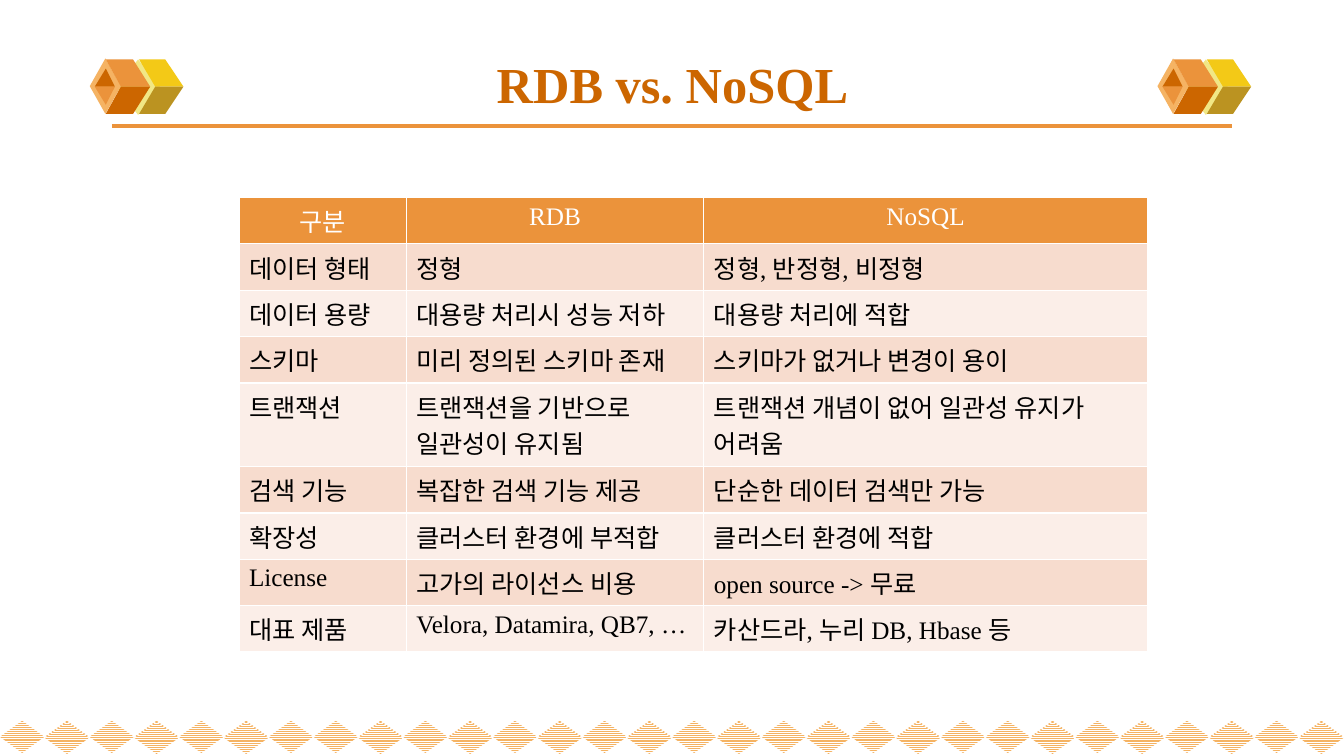
from lxml import etree
from pptx import Presentation
from pptx import util as u
from pptx.dml import color
from pptx.enum import dml, shapes, text
from pptx.oxml import ns

WHITE, BLACK = "FFFFFF", "000000"
ORANGE, DARK_ORANGE, LIGHT_ORANGE = "EB933B", "CC6600", "F5B363"
YELLOW, OLIVE, PALE_YELLOW = "F3C917", "BB9321", "F1E785"
BANDS = ("F7DCCE", "FBEEE8")

COLUMN_WIDTHS = (1.66, 2.95, 4.4)
ROW_HEIGHT, TWO_LINE_HEIGHT = 0.46, 0.83
TWO_LINE_ROW = 4
ROWS = [
    ("구분", "RDB", "NoSQL"),
    ("데이터 형태", "정형", "정형, 반정형, 비정형"),
    ("데이터 용량", "대용량 처리시 성능 저하", "대용량 처리에 적합"),
    ("스키마", "미리 정의된 스키마 존재", "스키마가 없거나 변경이 용이"),
    ("트랜잭션", "트랜잭션을 기반으로 일관성이 유지됨",
     "트랜잭션 개념이 없어 일관성 유지가 어려움"),
    ("검색 기능", "복잡한 검색 기능 제공", "단순한 데이터 검색만 가능"),
    ("확장성", "클러스터 환경에 부적합", "클러스터 환경에 적합"),
    ("License", "고가의 라이선스 비용", "open source -> 무료"),
    ("대표 제품", "Velora, Datamira, QB7, …", "카산드라, 누리 DB, Hbase 등"),
]


def rgb(value):
    return color.RGBColor.from_string(value)


class SlideBuilder:
    font_name = "Times New Roman"

    def __init__(self, slide):
        self.slide = slide

    def add_run(self, paragraph, words, size, hex_color, bold=False):
        run = paragraph.add_run()
        run.text = words
        run.font.name = self.font_name
        run.font.size = u.Pt(size)
        run.font.bold = bold
        run.font.color.rgb = rgb(hex_color)

    def diamond(self, left, top, width, height, hex_color, striped=False):
        shape = self.slide.shapes.add_shape(
            shapes.MSO_SHAPE.DIAMOND, u.Inches(left), u.Inches(top),
            u.Inches(width), u.Inches(height))
        shape.shadow.inherit = False
        shape.line.fill.background()
        if striped:
            shape.fill.patterned()
            shape.fill.pattern = dml.MSO_PATTERN.NARROW_HORIZONTAL
            shape.fill.back_color.rgb = rgb(WHITE)
        else:
            shape.fill.solid()
        shape.fill.fore_color.rgb = rgb(hex_color)

    def polygon(self, points, hex_color):
        corners = [(u.Inches(x), u.Inches(y)) for x, y in points]
        builder = self.slide.shapes.build_freeform(*corners[0])
        builder.add_line_segments(corners[1:], close=True)
        shape = builder.convert_to_shape()
        shape.shadow.inherit = False
        shape.fill.solid()
        shape.fill.fore_color.rgb = rgb(hex_color)
        shape.line.fill.background()

    def rule(self, left, right, top, hex_color, width):
        line = self.slide.shapes.add_connector(
            shapes.MSO_CONNECTOR.STRAIGHT, u.Inches(left), u.Inches(top),
            u.Inches(right), u.Inches(top))
        line.line.color.rgb = rgb(hex_color)
        line.line.width = u.Pt(width)
        etree.SubElement(line._element.spPr, ns.qn("a:effectLst"))

    def cubes(self, left):
        """Two cubes whose lower faces mirror the upper ones."""
        middle = 0.86

        def faces(points, upper, lower):
            for sign, hex_color in ((-1, upper), (1, lower)):
                self.polygon([(left + x, middle + sign * y) for x, y in points],
                             hex_color)

        self.diamond(left + 0.26, 0.59, 0.44, 0.55, PALE_YELLOW)
        faces([(0.65, 0), (0.93, 0), (0.75, 0.27), (0.49, 0.27)], YELLOW, OLIVE)
        self.diamond(left, 0.58, 0.31, 0.55, LIGHT_ORANGE)
        faces([(0.31, 0), (0.6, 0), (0.43, 0.27), (0.16, 0.27)],
              ORANGE, DARK_ORANGE)
        faces([(0.16, 0.18), (0.05, 0), (0.25, 0)], DARK_ORANGE, ORANGE)

    def title(self, words):
        box = self.slide.shapes.add_textbox(
            u.Inches(0.67), u.Inches(0.4), u.Inches(12), u.Inches(0.85))
        frame = box.text_frame
        frame.word_wrap = True
        frame.vertical_anchor = text.MSO_ANCHOR.MIDDLE
        paragraph = frame.paragraphs[0]
        paragraph.alignment = text.PP_ALIGN.CENTER
        self.add_run(paragraph, words, 36, DARK_ORANGE, bold=True)

    def cell_borders(self, cell):
        properties = cell._tc.get_or_add_tcPr()
        for side in "LRTB":
            line = etree.SubElement(properties, ns.qn(f"a:ln{side}"),
                                    w=str(u.Pt(1)))
            fill = etree.SubElement(line, ns.qn("a:solidFill"))
            etree.SubElement(fill, ns.qn("a:srgbClr"), val=WHITE)

    def table(self, left, top, rows):
        heights = [TWO_LINE_HEIGHT if index == TWO_LINE_ROW else ROW_HEIGHT
                   for index in range(len(rows))]
        table = self.slide.shapes.add_table(
            len(rows), len(COLUMN_WIDTHS), u.Inches(left), u.Inches(top),
            u.Inches(sum(COLUMN_WIDTHS)), u.Inches(sum(heights))).table
        for column, column_width in zip(table.columns, COLUMN_WIDTHS):
            column.width = u.Inches(column_width)
        for row_index, row in enumerate(rows):
            is_header = row_index == 0
            table.rows[row_index].height = u.Inches(heights[row_index])
            for column_index, words in enumerate(row):
                cell = table.cell(row_index, column_index)
                self.cell_borders(cell)
                cell.fill.solid()
                cell.fill.fore_color.rgb = rgb(
                    ORANGE if is_header else BANDS[(row_index - 1) % 2])
                paragraph = cell.text_frame.paragraphs[0]
                if is_header:
                    paragraph.alignment = text.PP_ALIGN.CENTER
                self.add_run(paragraph, words, 18, WHITE if is_header else BLACK)

    def diamond_band(self):
        """Two runs of 15 diamonds, some with a second one just below."""
        count, run_length = 30, 15
        pitch = 13.33 / count
        for index in range(count):
            doubled = index % run_length in (1, 3, 5, 8, 10, 12, 14)
            for top in (7.15, 7.16) if doubled else (7.15,):
                self.diamond(index * pitch, top, 0.44, 0.32, LIGHT_ORANGE, True)


def main():
    presentation = Presentation()
    presentation.slide_width = u.Inches(13.33)
    presentation.slide_height = u.Inches(7.5)
    slide = presentation.slides.add_slide(presentation.slide_layouts[6])
    builder = SlideBuilder(slide)

    # Decoration
    builder.diamond_band()
    builder.rule(1.11, 12.22, 1.25, ORANGE, 2.25)
    for left in (0.89, 11.48):
        builder.cubes(left)

    # Title and comparison table
    builder.title("RDB vs. NoSQL")
    builder.table(2.37, 1.96, ROWS)

    presentation.save("out.pptx")


if __name__ == "__main__":
    main()
